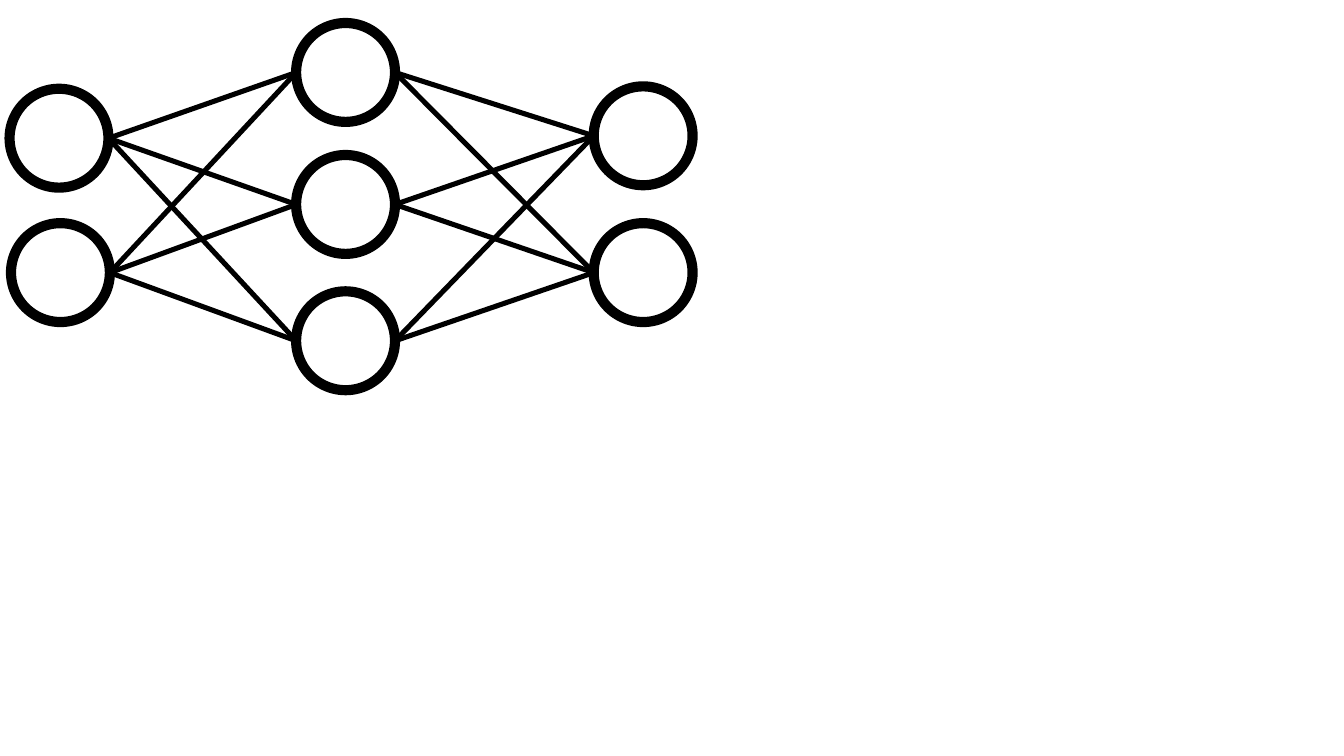
"""Build a slide showing a fully connected network of three layers."""
import itertools

import pptx
import pptx.dml.color
import pptx.enum.shapes
import pptx.oxml.ns
import pptx.util
from lxml import etree
from pptx.util import Cm, Pt

INPUT_LAYER = [(0.2, 1.85), (0.23, 4.65)]
HIDDEN_LAYER = [(6.17, 0.48), (6.17, 3.23), (6.17, 6.07)]
OUTPUT_LAYER = [(12.37, 1.8), (12.37, 4.65)]
LAYERS = [INPUT_LAYER, HIDDEN_LAYER, OUTPUT_LAYER]

DIAMETER = Cm(2.06)
NEURON_OUTLINE = Pt(6)
SYNAPSE_WIDTH = Pt(3)
BLACK = pptx.dml.color.RGBColor(0, 0, 0)
ELLIPSE_LEFT, ELLIPSE_RIGHT = 2, 6


def add_neuron(slide, left, top):
    """Draw one unfilled neuron and return it."""
    neuron = slide.shapes.add_shape(
        pptx.enum.shapes.MSO_SHAPE.OVAL, Cm(left), Cm(top), DIAMETER, DIAMETER)
    neuron.shadow.inherit = False
    neuron.fill.background()
    neuron.line.color.rgb = BLACK
    neuron.line.width = NEURON_OUTLINE
    return neuron


def add_synapse(slide, source, target):
    """Join the right side of one neuron to the left side of another."""
    synapse = slide.shapes.add_connector(
        pptx.enum.shapes.MSO_CONNECTOR.STRAIGHT,
        source.left + DIAMETER, source.top + DIAMETER // 2,
        target.left, target.top + DIAMETER // 2)
    synapse.line.color.rgb = BLACK
    synapse.line.width = SYNAPSE_WIDTH
    qn = pptx.oxml.ns.qn
    etree.SubElement(synapse._element.spPr, qn("a:effectLst"))
    joints = synapse._element.find(".//" + qn("p:cNvCxnSpPr"))
    for tag, neuron, site in (("a:stCxn", source, ELLIPSE_RIGHT),
                              ("a:endCxn", target, ELLIPSE_LEFT)):
        etree.SubElement(joints, qn(tag), id=str(neuron.shape_id), idx=str(site))


def main():
    """Build and save the slide."""
    deck = pptx.Presentation()
    deck.slide_width, deck.slide_height = Cm(28), Cm(15.75)
    slide = deck.slides.add_slide(deck.slide_layouts[6])
    layers = [[add_neuron(slide, left, top) for left, top in layer]
              for layer in LAYERS]
    for sources, targets in zip(layers, layers[1:]):
        for source, target in itertools.product(sources, targets):
            add_synapse(slide, source, target)
    deck.save("out.pptx")


if __name__ == "__main__":
    main()
